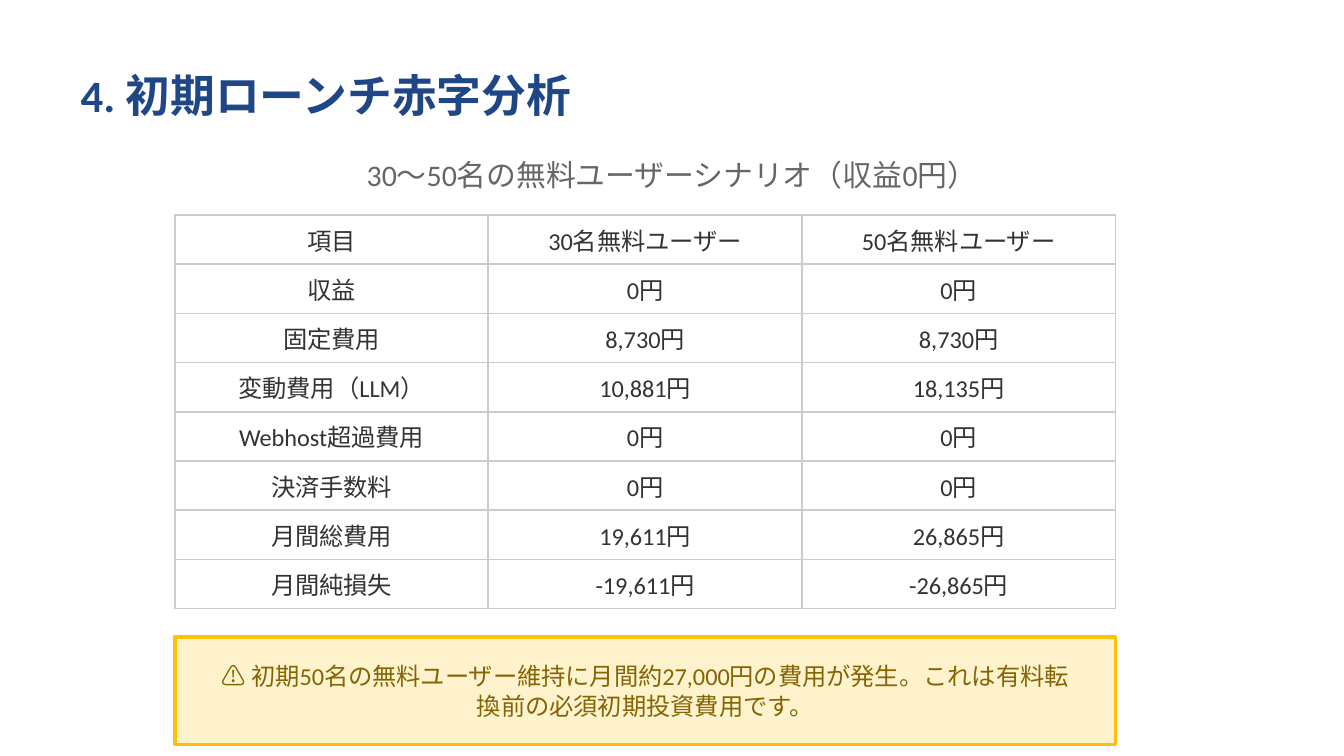
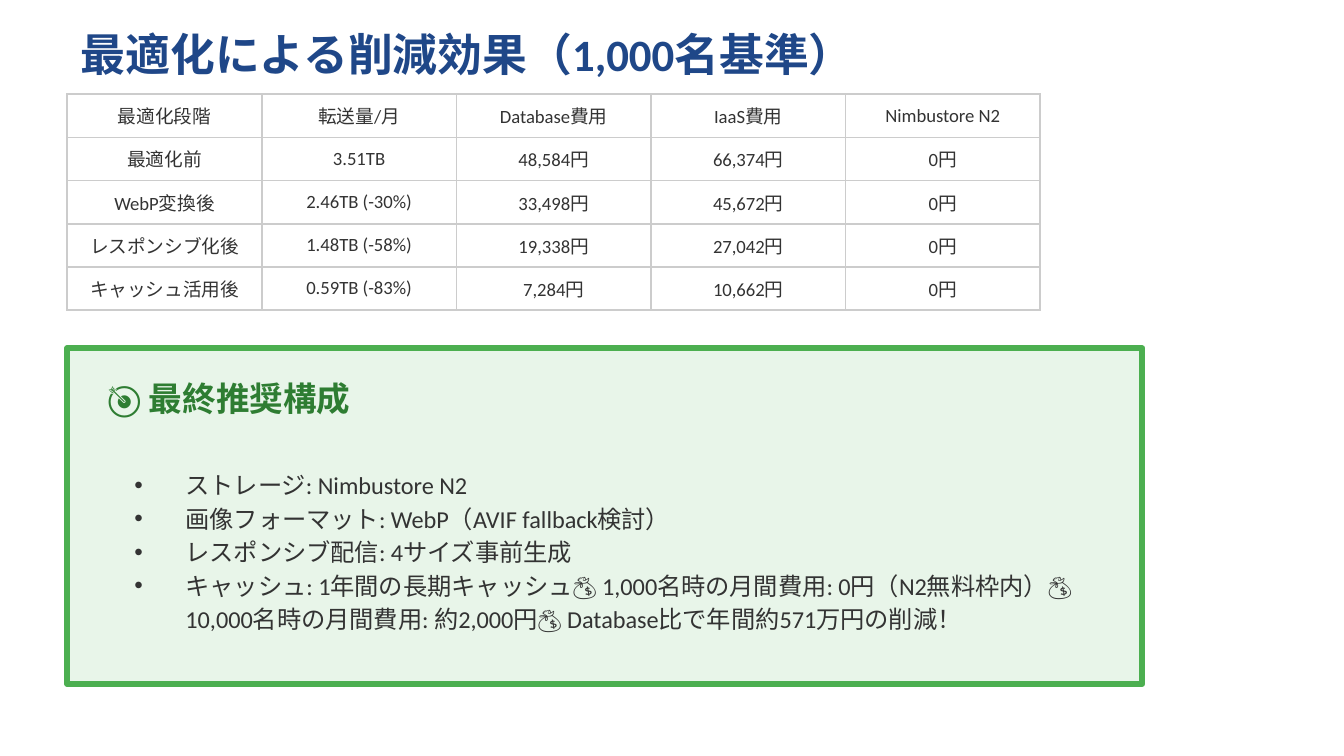
import pptx
import pptx.util
import pptx.dml.color
import pptx.enum.shapes
import pptx.enum.text
import pptx.oxml
import pptx.oxml.ns
from dataclasses import dataclass

Inches, Pt = pptx.util.Inches, pptx.util.Pt
Align = pptx.enum.text.PP_ALIGN
Anchor = pptx.enum.text.MSO_ANCHOR


@dataclass(frozen=True)
class Theme:
    font: str = "Calibri"
    paper: str = "FFFFFF"
    navy: str = "1F4788"
    gray: str = "666666"
    ink: str = "333333"
    rule: str = "CCCCCC"
    cream: str = "FFF3CD"
    amber: str = "FFC107"
    brown: str = "856404"
    mint: str = "E8F5E9"
    green: str = "4CAF50"
    forest: str = "2E7D32"
    title: int = 24
    head: int = 18
    lead: int = 16
    body: int = 13
    small: int = 10


def rgb(color):
    return pptx.dml.color.RGBColor.from_string(color)


class Deck:
    def __init__(self, theme):
        self.theme = theme
        self.file = pptx.Presentation()
        # Widescreen, 16:9
        self.file.slide_width = Inches(10)
        self.file.slide_height = Inches(10) * 9 // 16
        self.slide = None

    def style(self, para, size, color, bold=False, align=Align.LEFT):
        para.alignment = align
        font = para.font
        font.name = self.theme.font
        font.size = Pt(size)
        font.bold = bold
        font.color.rgb = rgb(color)

    def place(self, shape, box):
        shape.left, shape.top, shape.width, shape.height = map(Inches, box)
        frame = shape.text_frame
        frame.word_wrap = True
        frame.auto_size = pptx.enum.text.MSO_AUTO_SIZE.NONE
        frame.vertical_anchor = Anchor.MIDDLE
        return frame

    def start(self, layout, title, top):
        """Add a slide with its title."""
        self.slide = self.file.slides.add_slide(
            self.file.slide_layouts.get_by_name(layout))
        fill = self.slide.background.fill
        fill.solid()
        fill.fore_color.rgb = rgb(self.theme.paper)
        frame = self.place(self.slide.shapes.title, (0.5, top, 9, 0.6))
        frame.text = title
        self.style(frame.paragraphs[0], self.theme.title, self.theme.navy, True)

    def text(self, box, words, size, color, **look):
        frame = self.place(
            self.slide.shapes.add_textbox(*map(Inches, box)), box)
        frame.text = words
        self.style(frame.paragraphs[0], size, color, **look)

    def panel(self, box, fill, line, width):
        shape = self.slide.shapes.add_shape(
            pptx.enum.shapes.MSO_SHAPE.RECTANGLE, *map(Inches, box))
        shape.shadow.inherit = False
        shape.fill.solid()
        shape.fill.fore_color.rgb = rgb(fill)
        shape.line.color.rgb = rgb(line)
        shape.line.width = Pt(width)

    def bullets(self, box, items):
        """Fill the body placeholder and bring it to the front."""
        shape = self.slide.placeholders[1]
        self.slide.shapes._spTree.append(shape._element)
        frame = self.place(shape, box)
        frame.text = "\n".join(items)
        for para in frame.paragraphs:
            props = para._p.get_or_add_pPr()
            props.set("marL", str(Inches(0.38)))
            props.set("indent", str(-Inches(0.38)))
            mark = pptx.oxml.ns.qn("a:buChar")
            props.append(props.makeelement(mark, {"char": "•"}))
            para.line_spacing = Pt(18)
            para.space_before = Pt(0)
            self.style(para, self.theme.body, self.theme.ink)

    def border(self, cell):
        props = cell._tc.get_or_add_tcPr()
        for side in "LRTB":
            props.append(pptx.oxml.parse_xml(
                f'<a:ln{side} {pptx.oxml.ns.nsdecls("a")} w="{Pt(1)}">'
                f'<a:solidFill><a:srgbClr val="{self.theme.rule}"/>'
                f'</a:solidFill></a:ln{side}>'))

    def table(self, box, rows, size):
        grid = self.slide.shapes.add_table(
            len(rows), len(rows[0]), *map(Inches, box)).table
        grid.first_row = grid.horz_banding = False
        for r, row in enumerate(rows):
            for c, words in enumerate(row):
                cell = grid.cell(r, c)
                self.border(cell)
                cell.fill.solid()
                cell.fill.fore_color.rgb = rgb(self.theme.paper)
                cell.vertical_anchor = Anchor.MIDDLE
                cell.text = words
                self.style(cell.text_frame.paragraphs[0], size,
                           self.theme.ink, align=Align.CENTER)


def launch(deck):
    look = deck.theme
    deck.start("Title Only", "4. 初期ローンチ赤字分析", 0.4)
    deck.text((0.5, 1.1, 9, 0.4), "30～50名の無料ユーザーシナリオ（収益0円）",
              look.lead, look.gray, align=Align.CENTER)

    # Monthly costs
    deck.table((1.3, 1.6, 7, 2.93), [
        ("項目", "30名無料ユーザー", "50名無料ユーザー"),
        ("収益", "0円", "0円"),
        ("固定費用", "8,730円", "8,730円"),
        ("変動費用（LLM）", "10,881円", "18,135円"),
        ("Webhost超過費用", "0円", "0円"),
        ("決済手数料", "0円", "0円"),
        ("月間総費用", "19,611円", "26,865円"),
        ("月間純損失", "-19,611円", "-26,865円"),
    ], look.body)

    # Warning
    deck.panel((1.3, 4.74, 7, 0.8), look.cream, look.amber, 2)
    deck.text((1.5, 4.84, 6.6, 0.6),
              "⚠️ 初期50名の無料ユーザー維持に月間約27,000円の費用が発生。"
              "これは有料転換前の必須初期投資費用です。",
              look.body, look.brown, align=Align.CENTER)


def savings(deck):
    look = deck.theme
    deck.start("Title and Content", "最適化による削減効果（1,000名基準）", 0.1)

    # Cost at each stage
    deck.table((0.5, 0.7, 7.24, 1.61), [
        ("最適化段階", "転送量/月", "Database費用", "IaaS費用", "Nimbustore N2"),
        ("最適化前", "3.51TB", "48,584円", "66,374円", "0円"),
        ("WebP変換後", "2.46TB (-30%)", "33,498円", "45,672円", "0円"),
        ("レスポンシブ化後", "1.48TB (-58%)", "19,338円", "27,042円", "0円"),
        ("キャッシュ活用後", "0.59TB (-83%)", "7,284円", "10,662円", "0円"),
    ], look.small)

    # Final advice
    deck.panel((0.5, 2.59, 8, 2.5), look.mint, look.green, 3)
    deck.text((0.7, 2.79, 7.6, 0.35), "🎯 最終推奨構成",
              look.head, look.forest, bold=True)
    deck.bullets((0.9, 3.24, 7.2, 1.7), [
        "ストレージ: Nimbustore N2",
        "画像フォーマット: WebP（AVIF fallback検討）",
        "レスポンシブ配信: 4サイズ事前生成",
        "キャッシュ: 1年間の長期キャッシュ💰 1,000名時の月間費用: 0円（N2無料枠内）"
        "💰 10,000名時の月間費用: 約2,000円💰 Database比で年間約571万円の削減！",
    ])


def main():
    deck = Deck(Theme())
    launch(deck)
    savings(deck)
    deck.file.save("out.pptx")


if __name__ == "__main__":
    main()
